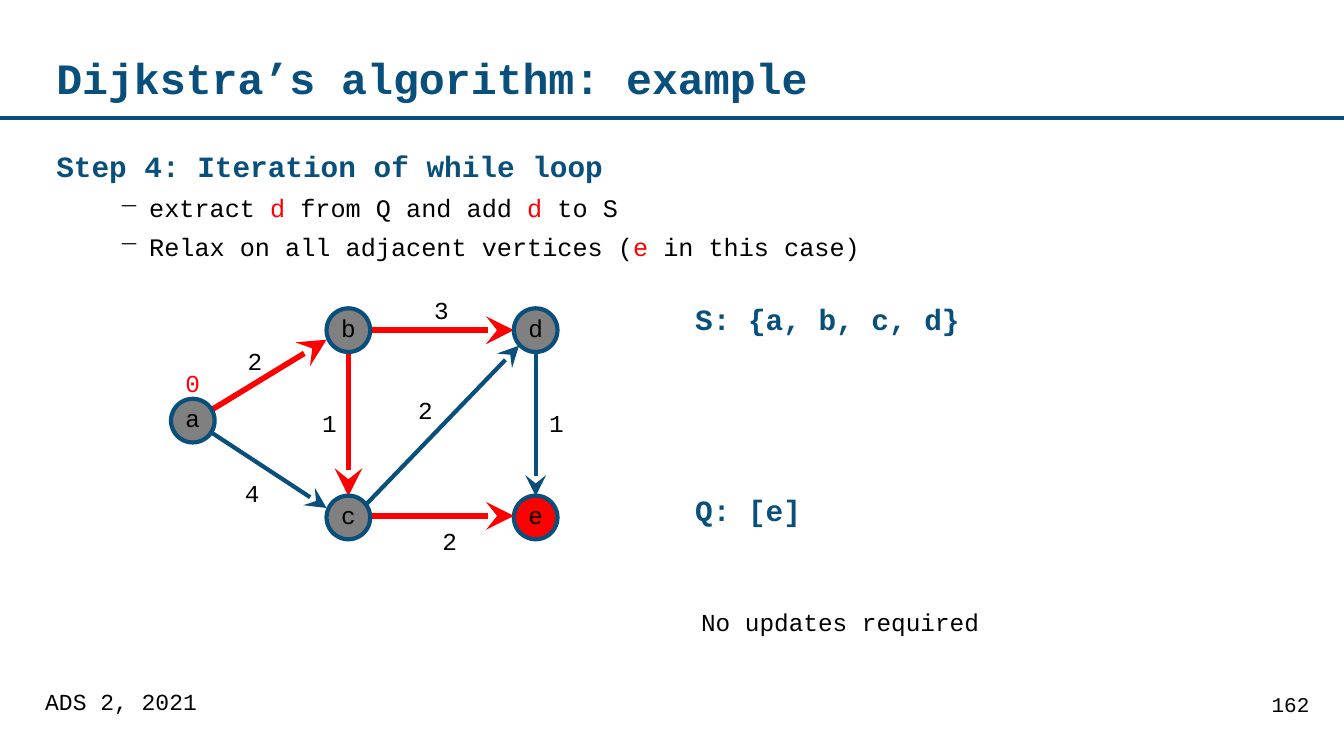
import dataclasses

import lxml.etree
import pptx
import pptx.dml.color
import pptx.enum.shapes
import pptx.enum.text
import pptx.oxml.ns
import pptx.util

Cm = pptx.util.Cm
Pt = pptx.util.Pt
ALIGN = pptx.enum.text.PP_ALIGN
ANCHOR = pptx.enum.text.MSO_ANCHOR


def rgb(value):
    return pptx.dml.color.RGBColor.from_string(value)


def add_element(parent, tag, **attributes):
    return lxml.etree.SubElement(parent, pptx.oxml.ns.qn(tag), attributes)


@dataclasses.dataclass(frozen=True)
class Theme:
    font: str = "Courier New"
    blue: str = "094F7B"
    red: str = "FF0000"
    gray: str = "808080"
    black: str = "000000"
    title_size: float = 30.9
    heading_size: float = 21
    bullet_size: float = 18
    graph_size: float = 17.4
    footer_size: float = 16.4
    number_size: float = 15


class SlideBuilder:
    NODE_SIZE = 1.1
    NO_INSETS = (0, 0)
    BOX_INSETS = (0.25, 0.13)

    def __init__(self, slide, theme):
        self.slide = slide
        self.theme = theme

    def style(self, paragraph, size, color, bold=False, spacing=None):
        paragraph.font.name = self.theme.font
        paragraph.font.size = Pt(size)
        paragraph.font.bold = bold
        paragraph.font.color.rgb = rgb(color)
        if spacing:
            paragraph.line_spacing = spacing

    def box(self, left, top, width, height, insets=BOX_INSETS, wrap=True):
        shape = self.slide.shapes.add_textbox(Cm(left), Cm(top), Cm(width), Cm(height))
        frame = shape.text_frame
        frame.word_wrap = wrap
        frame.margin_left = frame.margin_right = Cm(insets[0])
        frame.margin_top = frame.margin_bottom = Cm(insets[1])
        return frame

    def text(self, content, frame, size, color, bold=False, spacing=None):
        paragraph = frame.paragraphs[0]
        paragraph.text = content
        self.style(paragraph, size, color, bold, spacing)
        return paragraph

    def bullet(self, frame, content):
        """Add a dash bullet; words between asterisks are shown in red."""
        paragraph = frame.add_paragraph()
        paragraph.level = 1
        paragraph.space_before = Pt(6.2)
        properties = paragraph._p.get_or_add_pPr()
        properties.set("marL", str(Cm(2.34)))
        properties.set("indent", str(Cm(-0.76)))
        bullet_color = add_element(properties, "a:buClr")
        add_element(bullet_color, "a:srgbClr", val=self.theme.black)
        add_element(properties, "a:buChar", char="−")
        self.style(paragraph, self.theme.bullet_size, self.theme.black)
        for index, piece in enumerate(content.split("*")):
            run = paragraph.add_run()
            run.text = piece
            if index % 2:
                run.font.color.rgb = rgb(self.theme.red)

    def line(self, start, end, color, width, arrow=False):
        connector = self.slide.shapes.add_connector(
            pptx.enum.shapes.MSO_CONNECTOR.STRAIGHT, *map(Cm, start + end))
        connector.line.color.rgb = rgb(color)
        connector.line.width = Pt(width)
        if arrow:
            add_element(connector.line._get_or_add_ln(), "a:tailEnd",
                        type="stealth", w="lg", len="lg")
        add_element(connector._element.spPr, "a:effectLst")

    def node(self, name, center, fill):
        left, top = (value - self.NODE_SIZE / 2 for value in center)
        shape = self.slide.shapes.add_shape(
            pptx.enum.shapes.MSO_SHAPE.OVAL,
            Cm(left), Cm(top), Cm(self.NODE_SIZE), Cm(self.NODE_SIZE))
        shape.shadow.inherit = False
        shape.fill.solid()
        shape.fill.fore_color.rgb = rgb(fill)
        shape.line.color.rgb = rgb(self.theme.blue)
        shape.line.width = Pt(3)
        shape.text_frame.word_wrap = False
        shape.text_frame.vertical_anchor = ANCHOR.MIDDLE
        paragraph = self.text(name, shape.text_frame, self.theme.graph_size,
                              self.theme.black, spacing=0.82)
        paragraph.alignment = ALIGN.CENTER

    def label(self, content, position, color):
        frame = self.box(*position, 0.91, 0.99, wrap=False)
        self.text(content, frame, self.theme.graph_size, color)


def draw_graph(builder):
    theme = builder.theme
    left, middle, right = 4.86, 8.78, 13.5
    upper, center, lower = 8.32, 10.6, 13.04
    visited = {"c": (middle, lower), "a": (left, center),
               "b": (middle, upper), "d": (right, upper)}
    # start, end, on a shortest path, weight, weight position
    edges = [
        ((5.36, 10.31), (8.23, 8.56), True, "2", (5.99, 8.59)),
        ((5.36, 10.92), (8.23, 12.8), False, "4", (5.92, 11.91)),
        ((middle, 8.86), (middle, 12.5), True, "1", (7.87, 10.16)),
        ((9.32, upper), (12.95, upper), True, "3", (10.69, 7.32)),
        ((right, 8.86), (right, 12.5), False, "1", (13.59, 10.16)),
        ((9.14, 12.8), (13.08, 8.71), False, "2", (10.29, 9.83)),
        ((9.32, 13), (12.95, 13), True, "2", (10.9, 13.13)),
    ]
    builder.node("e", (right, lower), theme.red)
    for start, end, shortest, weight, position in edges:
        color, width = (theme.red, 4) if shortest else (theme.blue, 3)
        builder.line(start, end, color, width, arrow=True)
        builder.label(weight, position, theme.black)
    for name, position in visited.items():
        builder.node(name, position, theme.gray)
    builder.label("0", (4.42, 9.14), theme.red)


def main():
    presentation = pptx.Presentation()
    presentation.slide_width = Cm(33.87)
    presentation.slide_height = Cm(19.05)
    slide = presentation.slides.add_slide(presentation.slide_layouts[6])
    theme = Theme()
    builder = SlideBuilder(slide, theme)

    builder.line((0, 2.97), (33.87, 2.97), theme.blue, 2.75)
    title = builder.box(1.42, 0.84, 28.9, 2.18, builder.NO_INSETS)
    title.vertical_anchor = ANCHOR.MIDDLE
    builder.text("Dijkstra’s algorithm: example", title, theme.title_size,
                 theme.blue, bold=True, spacing=1.04)

    body = builder.box(1.42, 3.73, 31.04, 13.2, builder.NO_INSETS)
    builder.text("Step 4: Iteration of while loop", body, theme.heading_size,
                 theme.blue, bold=True)
    builder.bullet(body, "extract *d* from Q and add *d* to S")
    builder.bullet(body, "Relax on all adjacent vertices (*e* in this case)")

    draw_graph(builder)

    for content, top in (("S: {a, b, c, d}", 7.47), ("Q: [e]", 12.27)):
        builder.text(content, builder.box(17.27, top, 15.88, 1.14),
                     theme.heading_size, theme.blue, bold=True)
    builder.text("No updates required", builder.box(17.42, 15.16, 11.35, 0.99),
                 theme.graph_size, theme.black)

    builder.text("ADS 2, 2021", builder.box(0.86, 17.32, 21.41, 1.32, (0.28, 0.13)),
                 theme.footer_size, theme.black, spacing=0.82)
    number = builder.text("162", builder.box(27.84, 17.32, 5.46, 1.32, (0.3, 0.15)),
                          theme.number_size, theme.black, spacing=0.96)
    number.alignment = ALIGN.RIGHT

    presentation.save("out.pptx")


if __name__ == "__main__":
    main()
